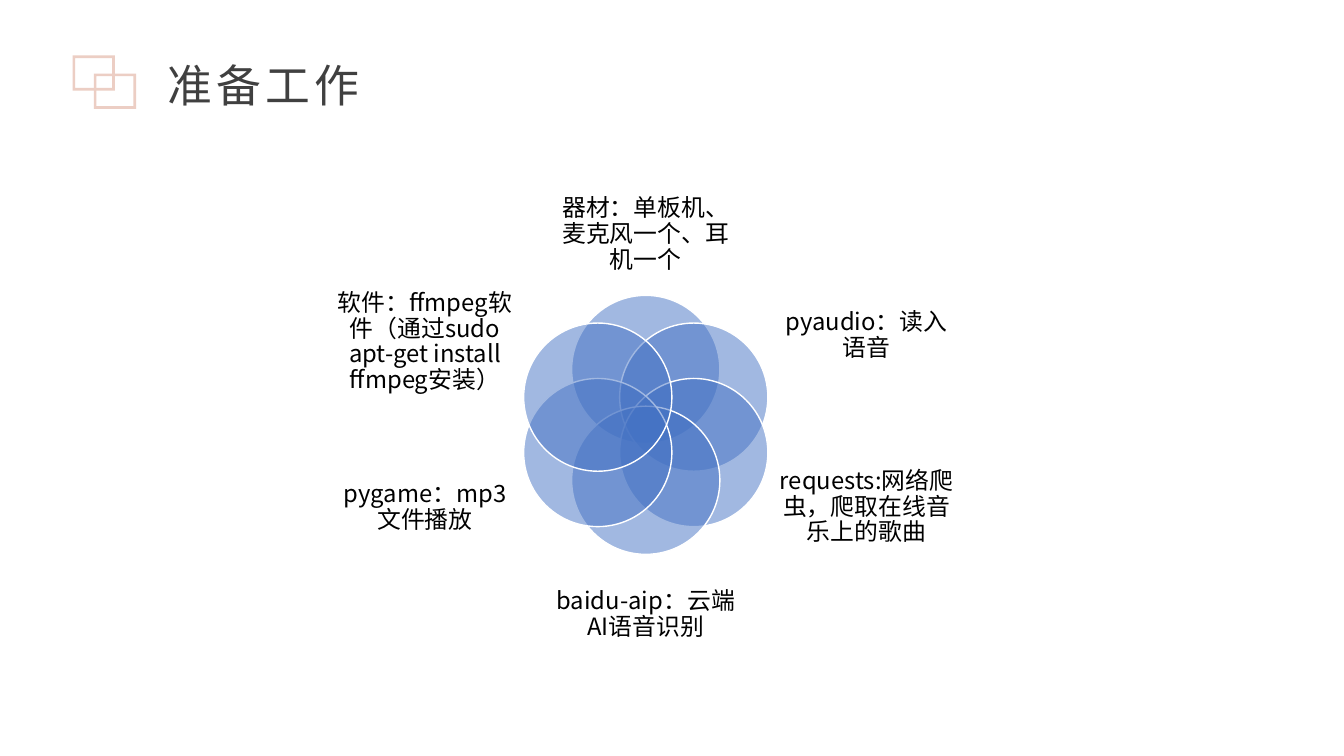
import math
import pptx
import pptx.util
import pptx.dml.color
import pptx.enum.shapes
import pptx.enum.text
import pptx.oxml
import pptx.oxml.ns

HEADING = "准备工作"
PREPARATIONS = [
    # text, column, row (% of height from centre), width %, height %
][:0] + [
    ("器材：单板机、麦克风一个、耳机一个", 0, -25.13, 13.8, 13.33),
    ("pyaudio：读入语音", 1, -11.8, 13.05, 14.67),
    ("requests:网络爬虫，爬取在线音乐上的歌曲", 1, 10.93, 13.05, 16.4),
    ("baidu-aip：云端AI语音识别", 0, 25.13, 13.8, 13.33),
    ("pygame：mp3文件播放", -1, 10.93, 13.05, 16.4),
    ("软件：ffmpeg软件（通过sudo apt-get install ffmpeg安装）", -1, -10.93, 13.05, 16.4),
]

FONT = "Noto Sans CJK SC"
PINK = pptx.dml.color.RGBColor(0xEC, 0xCE, 0xC4)
GREY = pptx.dml.color.RGBColor(0x40, 0x40, 0x40)
BLACK = pptx.dml.color.RGBColor(0, 0, 0)
BLUE = pptx.dml.color.RGBColor(0x44, 0x72, 0xC4)
WHITE = pptx.dml.color.RGBColor(0xFF, 0xFF, 0xFF)
SHAPE = pptx.enum.shapes.MSO_SHAPE
ALIGN = pptx.enum.text.PP_ALIGN
ANCHOR = pptx.enum.text.MSO_ANCHOR

deck = pptx.Presentation()
deck.slide_width = pptx.util.Inches(13.33)
deck.slide_height = pptx.util.Inches(7.5)
slide = deck.slides.add_slide(deck.slide_layouts[5])


def across(percent):
    return round(deck.slide_width * percent / 100)


def down(percent):
    return round(deck.slide_height * percent / 100)


def write(holder, text, size, color, align, anchor, inset=None, line_spacing=1, tracking=0):
    frame = holder.text_frame
    frame.word_wrap = True
    frame.auto_size = pptx.enum.text.MSO_AUTO_SIZE.NONE
    frame.vertical_anchor = anchor
    if inset is not None:
        frame.margin_left = frame.margin_right = inset
        frame.margin_top = frame.margin_bottom = inset
    paragraph = frame.paragraphs[0]
    paragraph.alignment = align
    paragraph.line_spacing = line_spacing
    run = paragraph.add_run()
    run.text = text
    run.font.size = pptx.util.Pt(size)
    run.font.color.rgb = color
    run.font.name = FONT
    properties = run.font._element
    properties.set("spc", str(tracking * 100))
    east_asian = pptx.oxml.ns.qn("a:ea")
    properties.find(pptx.oxml.ns.qn("a:latin")).addnext(
        properties.makeelement(east_asian, {"typeface": FONT}))


def add_filled(preset, left, top, width, height, color):
    shape = slide.shapes.add_shape(preset, left, top, width, height)
    shape.shadow.inherit = False
    shape.fill.solid()
    shape.fill.fore_color.rgb = color
    return shape


for step in range(2):
    emblem = add_filled(SHAPE.FRAME, across(5.4 + 1.58 * step), down(7.33 + 2.4 * step),
                        across(3.15), down(4.67), PINK)
    emblem.adjustments[0] = 0.076
    emblem.line.fill.background()

title = slide.shapes.title
title.left, title.top = across(11.7), down(6.93)
title.width, title.height = across(44.26), down(8.53)
write(title, HEADING, 32, GREY, ALIGN.LEFT, ANCHOR.TOP, tracking=3)

centre_x, centre_y = across(48.05), down(56.2)
orbit, diameter = down(7.33), down(19.6)
column_gap = across(16.43)

for index, (text, column, row, width, height) in enumerate(PREPARATIONS):
    angle = math.tau * index / len(PREPARATIONS)
    petal = add_filled(SHAPE.OVAL,
                       round(centre_x + orbit * math.sin(angle) - diameter / 2),
                       round(centre_y - orbit * math.cos(angle) - diameter / 2),
                       diameter, diameter, BLUE)
    petal.line.color.rgb = WHITE
    petal.line.width = pptx.util.Pt(1)
    tint = petal._element.spPr.find(".//" + pptx.oxml.ns.qn("a:srgbClr"))
    tint.append(tint.makeelement(pptx.oxml.ns.qn("a:alpha"), {"val": "50000"}))

    label = slide.shapes.add_textbox(
        centre_x + column * column_gap - across(width) // 2,
        centre_y + down(row) - down(height) // 2,
        across(width), down(height))
    write(label, text, 17, BLACK, ALIGN.CENTER, ANCHOR.MIDDLE, inset=0, line_spacing=0.9)

deck.save("out.pptx")
